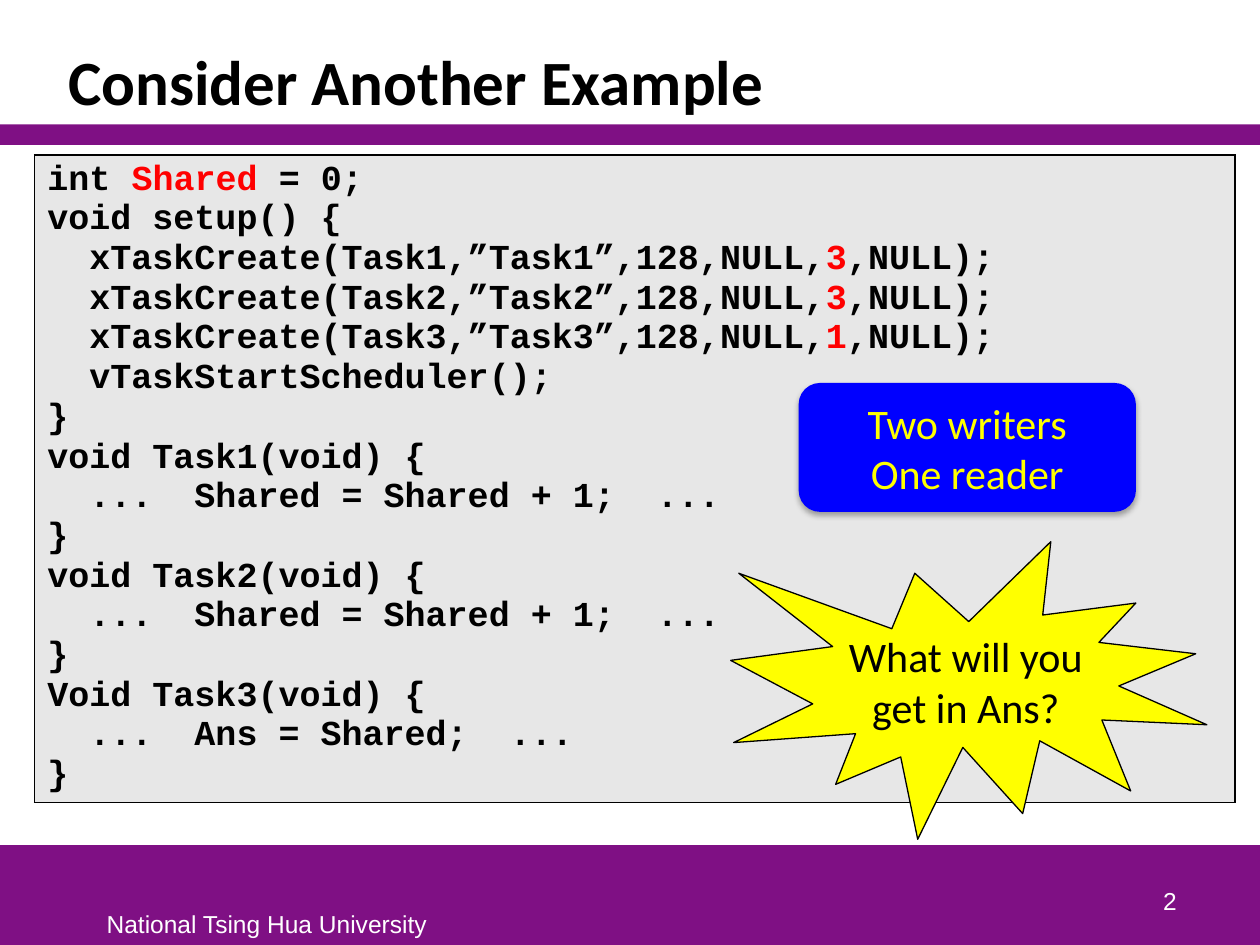
from dataclasses import dataclass
from typing import Optional

from lxml import etree
from pptx import Presentation
from pptx.dml.color import RGBColor
from pptx.enum import shapes, text
from pptx.oxml.ns import qn
from pptx.util import Cm, Pt

PURPLE = RGBColor(0x7F, 0x10, 0x84)
WHITE = RGBColor(0xFF, 0xFF, 0xFF)
BLACK = RGBColor(0, 0, 0)
RED = RGBColor(0xFF, 0, 0)
YELLOW = RGBColor(0xFF, 0xFF, 0)
BLUE = RGBColor(0, 0, 0xFF)
GREY = RGBColor(0xE7, 0xE7, 0xE7)

LEFT, MID, RIGHT = text.PP_ALIGN.LEFT, text.PP_ALIGN.CENTER, text.PP_ALIGN.RIGHT
KIND = shapes.MSO_SHAPE

# Parts between bars are shown in red
CODE = """int |Shared| = 0;
void setup() {
  xTaskCreate(Task1,”Task1”,128,NULL,|3|,NULL);
  xTaskCreate(Task2,”Task2”,128,NULL,|3|,NULL);
  xTaskCreate(Task3,”Task3”,128,NULL,|1|,NULL);
  vTaskStartScheduler();
}
void Task1(void) {
  ...  Shared = Shared + 1;  ...
}
void Task2(void) {
  ...  Shared = Shared + 1;  ...
}
Void Task3(void) {
  ...  Ans = Shared;  ...
}"""


@dataclass
class Box:
    """A filled shape; the place is in centimetres."""
    kind: KIND
    place: tuple
    fill: RGBColor
    lines: tuple = ()
    ink: RGBColor = BLACK
    edge: Optional[RGBColor] = None
    inset: float = 0.25
    shade: bool = False


@dataclass
class Label:
    """A line of small text on the footer band."""
    words: str
    place: tuple
    align: text.PP_ALIGN
    anchor: text.MSO_ANCHOR


def style(font, color: RGBColor, **values) -> None:
    for name, value in values.items():
        setattr(font, name, value)
    font.color.rgb = color


def add_shade(shape) -> None:
    effects = shape._element.spPr.find(qn("a:effectLst"))
    shade = etree.SubElement(effects, qn("a:outerShdw"), blurRad=str(Pt(3.5)),
                             dist=str(Pt(2.2)), dir="5400000", rotWithShape="0")
    color = etree.SubElement(shade, qn("a:srgbClr"), val=str(BLACK))
    etree.SubElement(color, qn("a:alpha"), val="32000")


def draw_box(slide, box: Box) -> None:
    shape = slide.shapes.add_shape(box.kind, *map(Cm, box.place))
    shape.shadow.inherit = False
    shape.fill.solid()
    shape.fill.fore_color.rgb = box.fill
    if box.edge is None:
        shape.line.fill.background()
    else:
        shape.line.color.rgb = box.edge
        shape.line.width = Pt(0.75)
    if box.shade:
        add_shade(shape)
    frame = shape.text_frame
    frame.vertical_anchor = text.MSO_ANCHOR.MIDDLE
    for side in ("left", "right", "top", "bottom"):
        inset = box.inset if side in ("left", "right") else min(box.inset, 0.13)
        setattr(frame, f"margin_{side}", Cm(inset))
    for i, line in enumerate(box.lines):
        para = frame.add_paragraph() if i else frame.paragraphs[0]
        para.alignment = MID
        run = para.add_run()
        run.text = line
        style(run.font, box.ink, name="Calibri", size=Pt(24))


def draw_label(slide, label: Label) -> None:
    frame = slide.shapes.add_textbox(*map(Cm, label.place)).text_frame
    frame.word_wrap = True
    frame.vertical_anchor = label.anchor
    para = frame.paragraphs[0]
    para.alignment = label.align
    run = para.add_run()
    run.text = label.words
    style(run.font, WHITE, name="Arial", size=Pt(14))


def draw_title(slide, words: str) -> None:
    title = slide.shapes.title
    place = dict(left=1.12, top=0.64, width=23.16, height=1.88)
    for name, value in place.items():
        setattr(title, name, Cm(value))
    frame = title.text_frame
    frame.vertical_anchor = text.MSO_ANCHOR.BOTTOM
    para = frame.paragraphs[0]
    para.alignment = LEFT
    para.line_spacing = 0.85
    run = para.add_run()
    run.text = words
    style(run.font, BLACK, name="Calibri", size=Pt(36), bold=True)


def draw_code(slide, code: str) -> None:
    place = map(Cm, (0.7, 3.12, 24.2, 13.05))
    table = slide.shapes.add_table(1, 1, *place).table
    table.first_row = table.horz_banding = False
    cell = table.cell(0, 0)
    props = cell._tc.get_or_add_tcPr()
    for side in "LRTB":
        edge = etree.SubElement(props, qn(f"a:ln{side}"), w=str(Pt(1)))
        fill = etree.SubElement(edge, qn("a:solidFill"))
        etree.SubElement(fill, qn("a:srgbClr"), val=str(BLACK))
    cell.fill.solid()
    cell.fill.fore_color.rgb = GREY
    frame = cell.text_frame
    for i, line in enumerate(code.splitlines()):
        para = frame.add_paragraph() if i else frame.paragraphs[0]
        for j, part in enumerate(line.split("|")):
            run = para.add_run()
            run.text = part
            style(run.font, RED if j % 2 else BLACK,
                  name="Courier New", size=Pt(20), bold=True)


BANDS = (
    Box(KIND.RECTANGLE, (0, 17.04, 25.4, 2.01), PURPLE),
    Box(KIND.RECTANGLE, (0, 2.51, 25.4, 0.41), PURPLE),
)
LABELS = (
    Label("National Tsing Hua University", (1.9, 18.21, 7.01, 0.84), LEFT,
          text.MSO_ANCHOR.TOP),
    Label("2", (18.69, 17.3, 5.28, 1.27), RIGHT, text.MSO_ANCHOR.BOTTOM),
)
NOTES = (
    Box(KIND.EXPLOSION1, (14.73, 10.92, 9.6, 6), YELLOW,
        ("What will you get in Ans?",), edge=BLACK, inset=0.1),
    Box(KIND.ROUNDED_RECTANGLE, (16.1, 7.72, 6.8, 2.6), BLUE,
        ("Two writers", "One reader"), ink=YELLOW, shade=True),
)


def main() -> None:
    deck = Presentation()
    deck.slide_width, deck.slide_height = Cm(25.4), Cm(19.05)
    slide = deck.slides.add_slide(deck.slide_layouts[5])

    # Bands and heading
    for band in BANDS:
        draw_box(slide, band)
    draw_title(slide, "Consider Another Example")

    # Code listing, footer and callouts
    draw_code(slide, CODE)
    for label in LABELS:
        draw_label(slide, label)
    for note in NOTES:
        draw_box(slide, note)

    deck.save("out.pptx")


if __name__ == "__main__":
    main()
